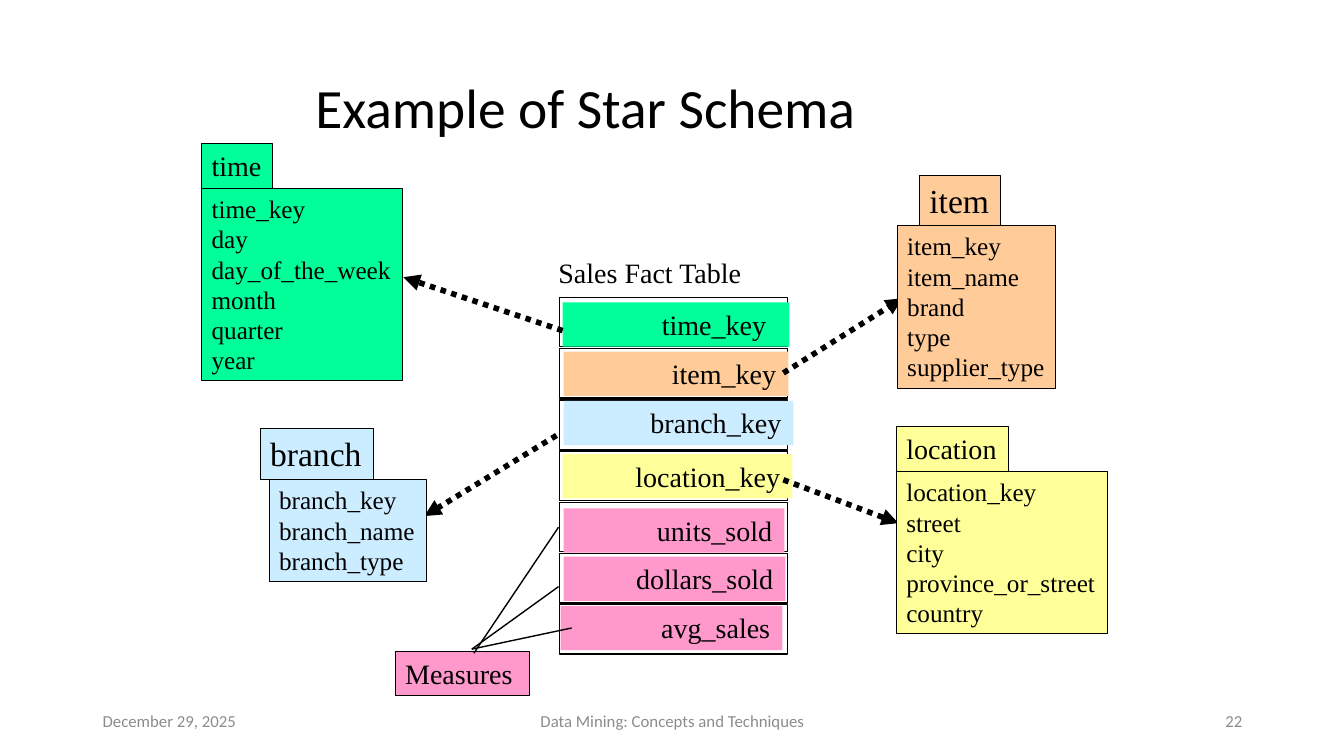
from dataclasses import dataclass

from lxml import etree
from pptx import Presentation
from pptx.dml.color import RGBColor
from pptx.enum.dml import MSO_LINE
from pptx.enum.shapes import MSO_CONNECTOR, MSO_SHAPE
from pptx.enum.text import MSO_ANCHOR, PP_ALIGN
from pptx.oxml.ns import qn
from pptx.util import Inches, Pt

RECT = MSO_SHAPE.RECTANGLE
STRAIGHT = MSO_CONNECTOR.STRAIGHT
DOTS = MSO_LINE.ROUND_DOT
TOP, MIDDLE = MSO_ANCHOR.TOP, MSO_ANCHOR.MIDDLE
LEFT, CENTER, RIGHT = PP_ALIGN.LEFT, PP_ALIGN.CENTER, PP_ALIGN.RIGHT


@dataclass(frozen=True)
class Theme:
    sans: str = "Calibri"
    serif: str = "Times New Roman"
    black: str = "000000"
    gray: str = "8C8C8C"
    green: str = "00FF99"
    orange: str = "FFCC99"
    blue: str = "CCECFF"
    yellow: str = "FFFF99"
    pink: str = "FF99CC"
    title: float = 39.6
    large: float = 24
    label: float = 20
    field: float = 18
    foot: float = 12


THEME = Theme()


def color(code):
    return RGBColor.from_string(code)


def write(shape, lines, size, face=THEME.serif, ink=THEME.black,
          align=LEFT, anchor=TOP, inset=0.05):
    """Set the lines of text in a shape; inset is the right margin."""
    frame = shape.text_frame
    frame.word_wrap = True
    frame.vertical_anchor = anchor
    frame.margin_left = Inches(0.1)
    frame.margin_right = Inches(inset)
    frame.margin_top = frame.margin_bottom = Inches(0.05)
    frame.text = "\n".join(lines)
    for para in frame.paragraphs:
        para.alignment = align
        para.font.name = face
        para.font.size = Pt(size)
        para.font.color.rgb = color(ink)
    return frame


def add_text(slide, box, line, size, **style):
    shape = slide.shapes.add_textbox(*map(Inches, box))
    return write(shape, [line], size, **style)


def add_rect(slide, box, fill=None, width=None):
    rect = slide.shapes.add_shape(RECT, *map(Inches, box))
    rect.shadow.inherit = False
    if fill:
        rect.fill.solid()
        rect.fill.fore_color.rgb = color(fill)
    else:
        rect.fill.background()
    if width:
        rect.line.color.rgb = color(THEME.black)
        rect.line.width = Pt(width)
    else:
        rect.line.fill.background()
    return rect


def add_line(slide, start, end, width=1, arrow=False):
    line = slide.shapes.add_connector(STRAIGHT, *map(Inches, start + end))
    line.line.color.rgb = color(THEME.black)
    line.line.width = Pt(width)
    if arrow:
        line.line.dash_style = DOTS
        etree.SubElement(line.line._get_or_add_ln(), qn("a:tailEnd"),
                         type="triangle")
    etree.SubElement(line._element.spPr, qn("a:effectLst"))


def add_table_box(slide, box, fill, fields, name, tab, size):
    """Dimension table: a field list under a name tab (shift, width, height)."""
    left, top = box[:2]
    shift, wide, high = tab
    body = add_rect(slide, box, fill, 0.75)
    write(body, fields, THEME.field, inset=0)
    head = add_rect(slide, (left + shift, top - high, wide, high), fill, 0.75)
    write(head, [name], size, inset=0)


def add_fact(slide, box):
    """Fact table: framed rows, each with a coloured key bar."""
    left, top, wide, high = box
    # name, fill, bar offset from its frame, bar width, right margin
    rows = [
        ("time_key", THEME.green, 0.03, 0.05, 2.25, 0.23),
        ("item_key", THEME.orange, 0.04, 0.03, 2.23, 0.12),
        ("branch_key", THEME.blue, 0.04, 0.01, 2.28, 0.12),
        ("location_key", THEME.yellow, 0.03, 0.03, 2.28, 0.12),
        ("units_sold", THEME.pink, 0.04, 0.06, 2.19, 0.12),
        ("dollars_sold", THEME.pink, 0.04, 0.03, 2.2, 0.12),
        ("avg_sales", THEME.pink, 0.01, 0.01, 2.2, 0.12),
    ]
    row = 0.49
    pitch = (high - row) / (len(rows) - 1)
    add_text(slide, (left - 0.11, top - 0.46, 2.03, 0.44),
             "Sales Fact Table", THEME.label)
    for i, (name, fill, dx, dy, bar, inset) in enumerate(rows):
        y = top + i * pitch
        add_rect(slide, (left, y, wide, row), width=1)
        key = add_rect(slide, (left + dx, y + dy, bar, 0.44), fill)
        write(key, [name], THEME.label, align=RIGHT, inset=inset)


def add_measures(slide, box):
    """Measures label with a line to each measure row."""
    rect = add_rect(slide, box, THEME.pink, 0.75)
    write(rect, ["Measures"], THEME.label)
    left, top = box[:2]
    for start, end in [((0.78, 0.02), (1.62, -1.23)),
                       ((0.76, -0.02), (1.62, -0.64)),
                       ((0.76, -0.02), (1.75, -0.23))]:
        add_line(slide, (left + start[0], top + start[1]),
                 (left + end[0], top + end[1]))


def add_footer(slide, box):
    left, top, wide, high = box
    parts = [("December 29, 2025", 0, 3, LEFT),
             ("Data Mining: Concepts and Techniques", 3.5, 4.5, CENTER),
             ("22", wide - 3, 3, RIGHT)]
    for line, shift, span, align in parts:
        add_text(slide, (left + shift, top, span, high), line, THEME.foot,
                 face=THEME.sans, ink=THEME.gray, align=align,
                 anchor=MIDDLE, inset=0.1)


def add_star(slide):
    # Title
    title = add_text(slide, (3.03, 0.86, 7.9, 0.48), "Example of Star Schema",
                     THEME.title, face=THEME.sans, anchor=MIDDLE)
    title.paragraphs[0].line_spacing = 0.9

    # Fact table and measures
    add_fact(slide, (5.55, 2.95, 2.26, 3.54))
    add_measures(slide, (3.92, 6.46, 1.33, 0.44))

    # Arrows from keys to dimensions
    for start, end in [((5.52, 4.32), (4.21, 5.12)),
                       ((5.58, 3.28), (4, 2.75)),
                       ((7.77, 4.76), (8.91, 5.19)),
                       ((7.77, 3.7), (8.95, 2.96))]:
        add_line(slide, start, end, 4, arrow=True)

    # Dimension tables
    add_table_box(slide, (2, 1.87, 1.99, 1.91), THEME.green,
                  ["time_key", "day", "day_of_the_week", "month", "quarter",
                   "year"], "time", (0, 0.7, 0.45), THEME.label)
    add_table_box(slide, (8.89, 4.68, 2.09, 1.61), THEME.yellow,
                  ["location_key", "street", "city", "province_or_street",
                   "country"], "location", (0, 1.11, 0.45), THEME.label)
    add_table_box(slide, (8.9, 2.24, 1.57, 1.61), THEME.orange,
                  ["item_key", "item_name", "brand", "type", "supplier_type"],
                  "item", (0.22, 0.8, 0.5), THEME.large)
    add_table_box(slide, (2.67, 4.76, 1.56, 1.01), THEME.blue,
                  ["branch_key", "branch_name", "branch_type"],
                  "branch", (-0.09, 1.12, 0.51), THEME.large)

    add_footer(slide, (0.92, 6.95, 11.5, 0.4))


def main():
    deck = Presentation()
    deck.slide_width, deck.slide_height = Inches(13.33), Inches(7.5)
    add_star(deck.slides.add_slide(deck.slide_layouts[6]))
    deck.save("out.pptx")


if __name__ == "__main__":
    main()
